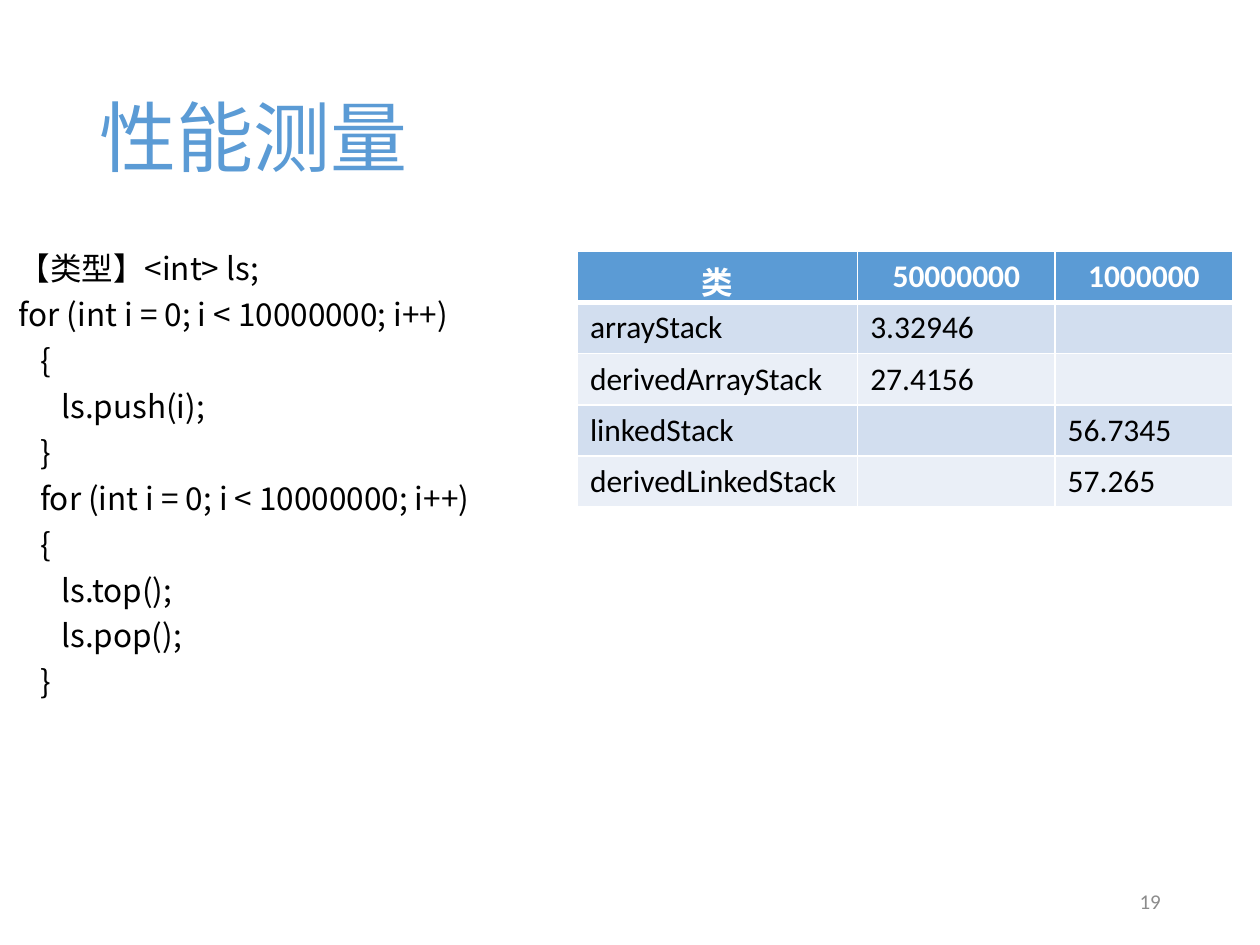
from lxml import etree
from pptx import Presentation
from pptx.dml.color import RGBColor
from pptx.enum.text import MSO_ANCHOR, PP_ALIGN
from pptx.oxml.ns import qn
from pptx.util import Cm, Pt

BLUE = RGBColor(0x5B, 0x9B, 0xD5)
BAND_DARK = RGBColor(0xD2, 0xDE, 0xEF)
BAND_LIGHT = RGBColor(0xEA, 0xEF, 0xF7)
WHITE = RGBColor(0xFF, 0xFF, 0xFF)
BLACK = RGBColor(0, 0, 0)
GRAY = RGBColor(0x8C, 0x8C, 0x8C)
LEFT, CENTER, RIGHT = PP_ALIGN.LEFT, PP_ALIGN.CENTER, PP_ALIGN.RIGHT
TOP, MIDDLE = MSO_ANCHOR.TOP, MSO_ANCHOR.MIDDLE
LATIN, CJK = "Calibri", "Noto Sans CJK SC"
INDENT = 0.43

CODE = [
    (0, "【类型】<int> ls;"),
    (0, "for (int i = 0; i < 10000000; i++)"),
    (1, "{"),
    (2, "ls.push(i);"),
    (1, "}"),
    (1, "for (int i = 0; i < 10000000; i++)"),
    (1, "{"),
    (2, "ls.top();"),
    (2, "ls.pop();"),
    (1, "}"),
]
TIMES = [
    ("类", "50000000", "1000000"),
    ("arrayStack", "3.32946", ""),
    ("derivedArrayStack", "27.4156", ""),
    ("linkedStack", "", "56.7345"),
    ("derivedLinkedStack", "", "57.265"),
]


class SlideBuilder:
    """Holds the text style and the slide being built."""

    def __init__(self, prs):
        self.slide = prs.slides.add_slide(prs.slide_layouts[5])

    def run(self, p, text, size, color, font=LATIN, bold=False, align=LEFT):
        p.alignment = align
        r = p.add_run()
        r.text = text
        r.font.name, r.font.size, r.font.bold = font, Pt(size), bold
        r.font.color.rgb = color
        etree.SubElement(r.font._element, qn("a:ea")).set("typeface", CJK)

    def title(self, text, left, top, width, height):
        sp = self.slide.shapes.title
        sp.left, sp.top, sp.width, sp.height = Cm(left), Cm(top), Cm(width), Cm(height)
        sp.text_frame.vertical_anchor = MIDDLE
        p = sp.text_frame.paragraphs[0]
        p.line_spacing = 0.9
        self.run(p, text, 44, BLUE)

    def box(self, left, top, width, height, anchor=TOP):
        sp = self.slide.shapes.add_textbox(Cm(left), Cm(top), Cm(width), Cm(height))
        tf = sp.text_frame
        tf.word_wrap, tf.vertical_anchor = True, anchor
        return tf

    def code(self, lines, left, top, width, height):
        tf = self.box(left, top, width, height)
        for i, (level, text) in enumerate(lines):
            p = tf.add_paragraph() if i else tf.paragraphs[0]
            p.line_spacing, p.space_before = 0.75, Pt(10)
            p._p.get_or_add_pPr().set("marL", str(Cm(level * INDENT)))
            self.run(p, text, 18, BLACK, CJK)

    def label(self, text, left, top, width, height):
        tf = self.box(left, top, width, height, MIDDLE)
        self.run(tf.paragraphs[0], text, 12, GRAY, align=RIGHT)

    def borders(self, cell, bottom):
        tcPr = cell._tc.get_or_add_tcPr()
        for i, (side, width) in enumerate(zip("LRTB", (1, 1, 1, bottom))):
            ln = etree.Element(qn("a:ln" + side), w=str(Pt(width)))
            fill = etree.SubElement(ln, qn("a:solidFill"))
            etree.SubElement(fill, qn("a:srgbClr"), val=str(WHITE))
            tcPr.insert(i, ln)

    def table(self, rows, left, top, widths, height):
        frame = self.slide.shapes.add_table(
            len(rows), len(widths), Cm(left), Cm(top), Cm(sum(widths)), Cm(height * len(rows)))
        table = frame.table
        for column, width in zip(table.columns, widths):
            column.width = Cm(width)
        for i, values in enumerate(rows):
            head = i == 0
            for j, text in enumerate(values):
                cell = table.cell(i, j)
                cell.fill.solid()
                cell.fill.fore_color.rgb = BLUE if head else BAND_DARK if i % 2 else BAND_LIGHT
                self.borders(cell, 3 if head else 1)
                p = cell.text_frame.paragraphs[0]
                p.font.size = Pt(18)
                if text:
                    self.run(p, text, 18, WHITE if head else BLACK,
                             bold=head, align=CENTER if head else LEFT)


prs = Presentation()
prs.slide_width, prs.slide_height = Cm(25.4), Cm(19.05)
s = SlideBuilder(prs)
s.title("性能测量", 1.75, 1.01, 21.9, 3.68)
s.code(CODE, 0.13, 5.08, 13.2, 12.1)
s.table(TIMES, 11.64, 5.07, (5.65, 3.98, 3.58), 1.03)
s.label("19", 17.94, 17.66, 5.71, 1.01)
prs.save("out.pptx")
